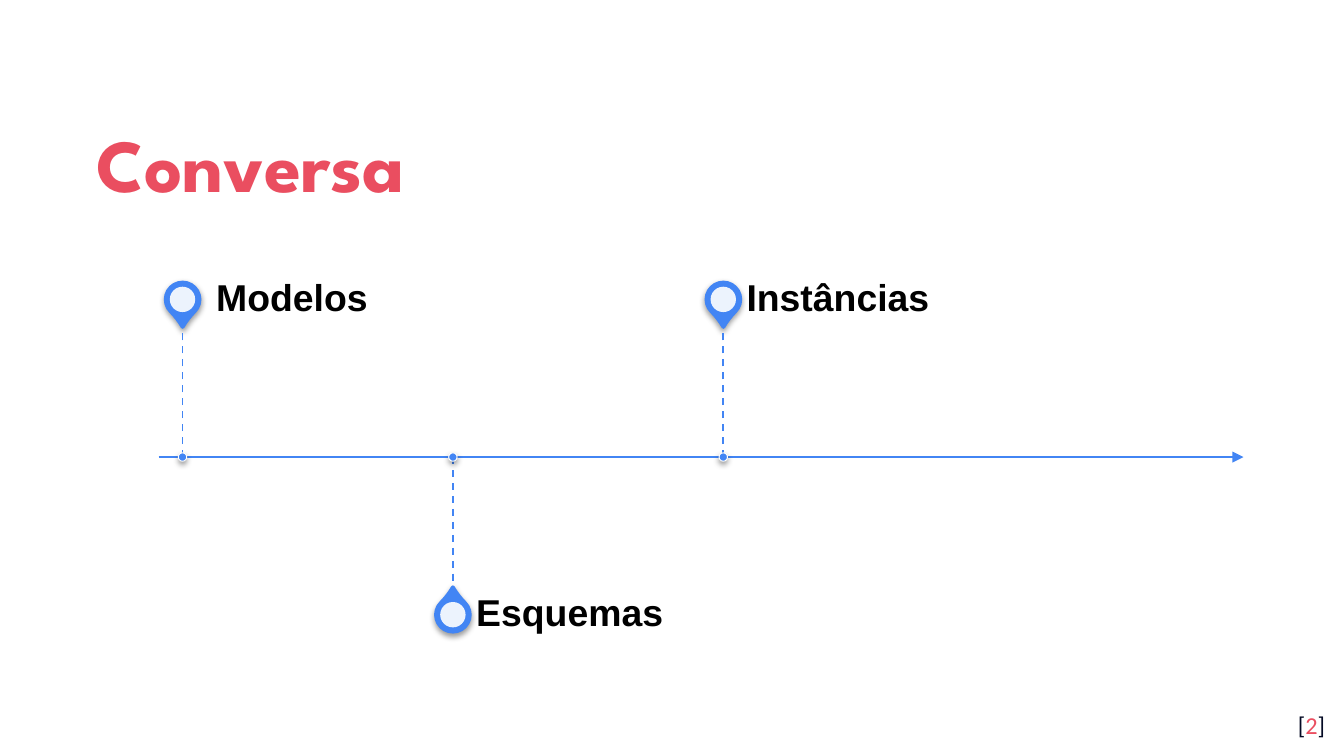
from dataclasses import dataclass

from lxml import etree
from pptx import Presentation
from pptx.dml.color import RGBColor
from pptx.enum.dml import MSO_LINE
from pptx.enum.shapes import MSO_CONNECTOR, MSO_SHAPE
from pptx.enum.text import MSO_ANCHOR, PP_ALIGN
from pptx.oxml.ns import qn
from pptx.util import Cm, Pt

STRAIGHT = MSO_CONNECTOR.STRAIGHT
TEARDROP, OVAL = MSO_SHAPE.TEAR, MSO_SHAPE.OVAL
TOP, MIDDLE = MSO_ANCHOR.TOP, MSO_ANCHOR.MIDDLE
LEFT, RIGHT = PP_ALIGN.LEFT, PP_ALIGN.RIGHT
DASH = MSO_LINE.DASH


@dataclass(frozen=True)
class Theme:
    """Colours, fonts and type sizes of the slide."""
    accent: str = "EA4E60"
    blue: str = "4285F4"
    white: str = "FFFFFF"
    black: str = "000000"
    navy: str = "040A24"
    title_font: str = "League Spartan"
    label_font: str = "Arial"
    number_font: str = "Calibri"
    title_size: int = 40
    label_size: int = 20
    number_size: int = 13


THEME = Theme()


def rgb(value):
    """Turn a hex string into a colour."""
    return RGBColor.from_string(value)


def add_text(shapes, box, runs, font, size, bold=False, anchor=MIDDLE,
             align=LEFT, insets=(0.25, 0.25, 0.25, 0.25), spacing=1.0):
    """Add a one-paragraph text box from (text, colour) runs."""
    tf = shapes.add_textbox(*map(Cm, box)).text_frame
    tf.word_wrap = True
    tf.vertical_anchor = anchor
    tf.margin_left, tf.margin_top, tf.margin_right, tf.margin_bottom = map(Cm, insets)
    p = tf.paragraphs[0]
    p.alignment = align
    p.line_spacing = spacing
    for text, color in runs:
        r = p.add_run()
        r.text = text
        r.font.name = font
        r.font.size = Pt(size)
        r.font.bold = bold
        r.font.color.rgb = rgb(color)


def add_line(shapes, start, end, width):
    """Add a blue straight connector without a shadow."""
    line = shapes.add_connector(STRAIGHT, *map(Cm, start + end))
    line.line.color.rgb = rgb(THEME.blue)
    line.line.width = Pt(width)
    etree.SubElement(line._element.spPr, qn("a:effectLst"))
    return line


def add_centred(shapes, kind, x, y, size, fill, line=None, width=0):
    """Add a square-boxed shape centred on a point."""
    sp = shapes.add_shape(kind, Cm(x - size / 2), Cm(y - size / 2), Cm(size), Cm(size))
    sp.shadow.inherit = False
    sp.fill.solid()
    sp.fill.fore_color.rgb = rgb(fill)
    if line:
        sp.line.color.rgb = rgb(line)
        sp.line.width = Pt(width)
    else:
        sp.line.fill.background()
    return sp


def set_alpha(color, percent):
    """Give a colour element an opacity."""
    etree.SubElement(color, qn("a:alpha"), val=str(percent * 1000))


def cast_shadow(sp):
    """Add a soft shadow below a shape."""
    effects = sp._element.spPr.find(qn("a:effectLst"))
    shadow = etree.SubElement(effects, qn("a:outerShdw"), blurRad=str(Pt(3.1)),
                              dist=str(Pt(1.6)), dir="5400000", rotWithShape="0")
    set_alpha(etree.SubElement(shadow, qn("a:srgbClr"), val=THEME.black), 38)


def add_milestone(shapes, x, axis_y, side, label):
    """Add a pin with label, stem and dot; side is -1 above or 1 below the axis."""
    y = axis_y + side * 2.98
    pin = add_centred(shapes, TEARDROP, x, y, 0.64, THEME.blue, THEME.blue, 2)
    pin.adjustments[0] = 1.15
    pin.rotation = 135 if side < 0 else 315
    cast_shadow(pin)
    core = add_centred(shapes, OVAL, x, y, 0.48, THEME.white)
    set_alpha(core._element.spPr.find(".//" + qn("a:srgbClr")), 90)
    add_text(shapes, (x + 0.44, y - 0.45, 8.51, 0.9), [(label, THEME.black)],
             THEME.label_font, THEME.label_size, bold=True,
             insets=(0, 0, 0.36, 0), spacing=0.9)
    stem = add_line(shapes, (x, axis_y), (x, axis_y + side * 2.54), 1)
    stem.line.dash_style = DASH
    dot = add_centred(shapes, OVAL, x, axis_y, 0.16, THEME.blue, THEME.white, 0.5)
    cast_shadow(dot)


def add_timeline(s, box, labels):
    """Add the arrow axis across the box with milestones on alternating sides."""
    left, top, width, height = box
    axis_y = top + height / 2
    shapes = s.shapes.add_group_shape().shapes
    axis = add_line(shapes, (left, axis_y), (left + width, axis_y), 1.5)
    etree.SubElement(axis.line._get_or_add_ln(), qn("a:tailEnd"), type="triangle")
    for i, label in enumerate(labels):
        add_milestone(shapes, left + 0.45 + i * 5.11, axis_y, 1 if i % 2 else -1, label)


def add_title(s, box, text):
    """Add the slide title."""
    add_text(s.shapes, box, [(text, THEME.accent)], THEME.title_font,
             THEME.title_size, bold=True, spacing=1.15)


def add_page_number(s, box, number):
    """Add the bracketed page number."""
    runs = [("[", THEME.navy), (number, THEME.accent), ("]", THEME.navy)]
    add_text(s.shapes, box, runs, THEME.number_font, THEME.number_size,
             anchor=TOP, align=RIGHT)


def main():
    """Build and save the slide."""
    prs = Presentation()
    prs.slide_width, prs.slide_height = Cm(25.4), Cm(14.29)
    s = prs.slides.add_slide(prs.slide_layouts[6])
    add_title(s, (1.57, 1.78, 22.28, 2.34), "Conversa")
    add_page_number(s, (23.77, 13.18, 1.52, 1.09), "2")
    add_timeline(s, (3, 5.2, 20.5, 6.88), [" Modelos", "Esquemas", "Instâncias"])
    prs.save("out.pptx")


if __name__ == "__main__":
    main()
